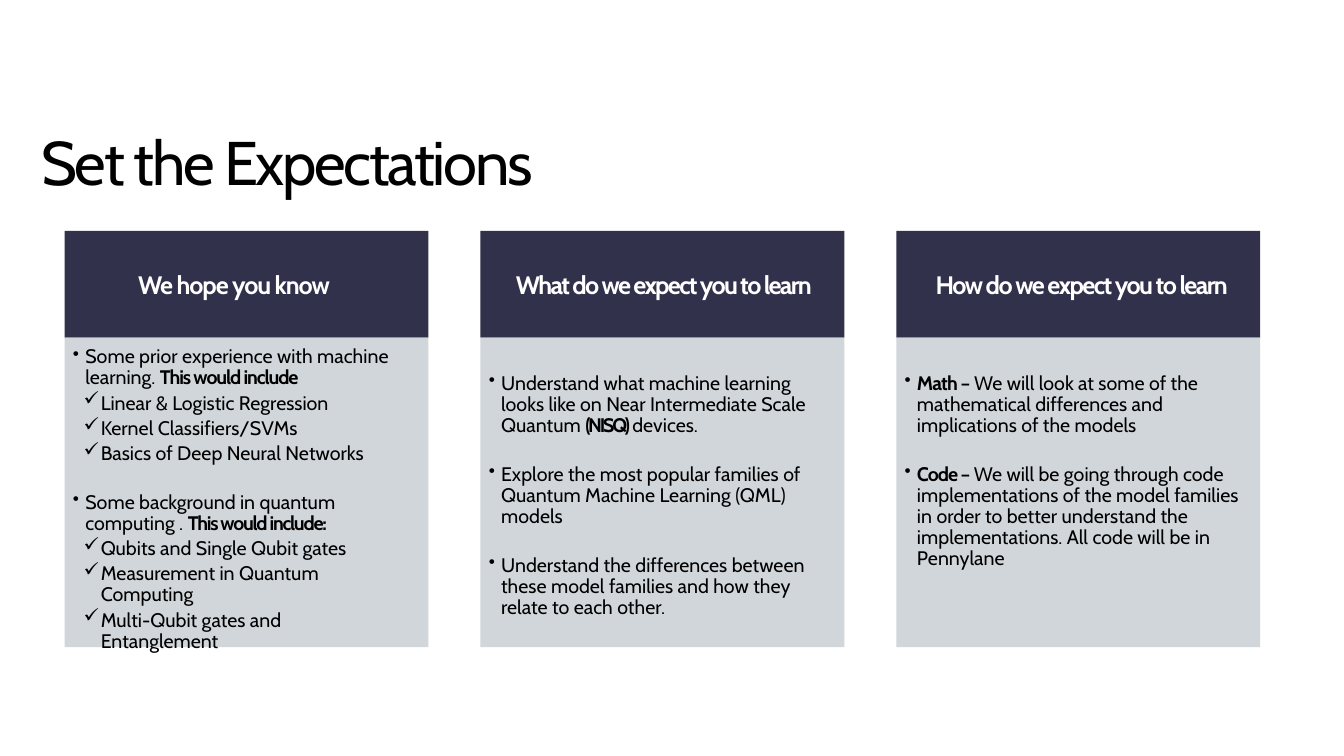
import pptx
import pptx.util
import pptx.dml.color
import pptx.enum.shapes
import pptx.enum.text
import pptx.oxml.ns
import lxml.etree
from dataclasses import dataclass

Cm, Pt = pptx.util.Cm, pptx.util.Pt
Align = pptx.enum.text.PP_ALIGN
Anchor = pptx.enum.text.MSO_ANCHOR


@dataclass(frozen=True)
class Theme:
    font: str = "Cabin"
    ink: str = "000000"
    light: str = "FFFFFF"
    head: str = "31314B"
    panel: str = "CCD2D7"
    title_size: int = 44
    head_size: int = 18
    body_size: int = 14


THEME = Theme()

# Column grid
LEFT, STEP, WIDTH = 1.63, 10.48, 9.17
HEAD_TOP, HEAD_TALL = 5.82, 2.69
BODY_TOP, BODY_TALL = 8.51, 7.8

# Bullet mark: (level, left margin, hanging indent, space before, size in percent)
MARKS = {"•": (0, 0.52, -0.31, 20, 93), "✓": (1, 0.91, -0.43, 3, 100)}

# Each column: heading, its margin, indent and tracking; body insets; items.
# An item is a mark and its runs; a run is its text and, if bold, its tracking.
COLUMNS = [
    (("We hope you know", 1.85, 0, -0.8), (0.23, 0.86), [
        ("•", [("Some prior experience with machine learning. ", None),
               ("This would include", -0.8)]),
        ("✓", [("Linear & Logistic Regression", None)]),
        ("✓", [("Kernel Classifiers/SVMs", None)]),
        ("✓", [("Basics of Deep Neural Networks", None)]),
        ("•", [("Some background in quantum computing . ", None),
               ("This would include:", -0.9)]),
        ("✓", [("Qubits and Single Qubit gates", None)]),
        ("✓", [("Measurement in Quantum Computing", None)]),
        ("✓", [("Multi-Qubit gates and Entanglement", None)]),
    ]),
    (("What do we expect you to learn", 3.91, -3.02, -1.2), (0.89, 0.61), [
        ("•", [("Understand what machine learning looks like on Near "
                "Intermediate Scale Quantum ", None),
               ("(NISQ) ", -1.6), ("devices.", None)]),
        ("•", [("Explore the most popular families of Quantum Machine "
                "Learning (QML) models", None)]),
        ("•", [("Understand the differences between these model families "
                "and how they relate to each other.", None)]),
    ]),
    (("How do we expect you to learn", 3.91, -2.92, -1.1), (0.89, 0.3), [
        ("•", [("Math – ", -0.6),
               ("We will look at some of the mathematical differences and "
                "implications of the models", None)]),
        ("•", [("Code – ", -0.7),
               ("We will be going through code implementations of the model "
                "families in order to better understand the "
                "implementations. All code will be in Pennylane", None)]),
    ]),
]


def paint(run, size, tint, track=0, bold=False):
    """Format one run."""
    run.font.name = THEME.font
    run.font.size = Pt(size)
    run.font.bold = bold
    run.font.color.rgb = pptx.dml.color.RGBColor.from_string(tint)
    run._r.get_or_add_rPr().set("spc", str(round(track * 100)))


def indent(para, margin, hang):
    props = para._p.get_or_add_pPr()
    props.set("marL", str(Cm(margin)))
    props.set("indent", str(Cm(hang)))
    return props


def set_frame(frame, top=0, right=0, anchor=Anchor.TOP):
    frame.word_wrap = True
    frame.auto_size = pptx.enum.text.MSO_AUTO_SIZE.NONE
    frame.vertical_anchor = anchor
    frame.margin_left = frame.margin_bottom = 0
    frame.margin_top, frame.margin_right = Cm(top), Cm(right)


def add_panel(slide, left, top, tall, tint):
    """Add a plain filled block of column width."""
    panel = slide.shapes.add_shape(
        pptx.enum.shapes.MSO_SHAPE.RECTANGLE,
        Cm(left), Cm(top), Cm(WIDTH), Cm(tall))
    panel.shadow.inherit = False
    panel.fill.solid()
    panel.fill.fore_color.rgb = pptx.dml.color.RGBColor.from_string(tint)
    panel.line.fill.background()
    return panel


def add_title(slide, text):
    title = slide.shapes.title
    title.left, title.top = Cm(1.04), Cm(3.05)
    title.width, title.height = Cm(16.03), Cm(1.96)
    set_frame(title.text_frame, top=0.08)
    title.text_frame.text = text
    para = title.text_frame.paragraphs[0]
    para.alignment = Align.LEFT
    paint(para.runs[0], THEME.title_size, THEME.ink, -1.7)


def add_head(slide, left, text, margin, hang, track):
    panel = add_panel(slide, left, HEAD_TOP, HEAD_TALL, THEME.head)
    set_frame(panel.text_frame, 0.08, 0.61, Anchor.MIDDLE)
    panel.text_frame.text = text
    para = panel.text_frame.paragraphs[0]
    para.alignment = Align.LEFT
    para.line_spacing = Pt(19.5)
    indent(para, margin, hang)
    paint(para.runs[0], THEME.head_size, THEME.light, track, True)


def add_item(para, mark, parts, first):
    level, margin, hang, space, size = MARKS[mark]
    para.level = level
    para.alignment = Align.LEFT
    # Bullet mark
    props = indent(para, margin, hang)
    qn = pptx.oxml.ns.qn
    lxml.etree.SubElement(props, qn("a:buSzPct"), val=str(size * 1000))
    lxml.etree.SubElement(props, qn("a:buChar"), char=mark)
    para.line_spacing = Pt(15)
    para.space_before = Pt(0 if first else space)
    for text, track in parts:
        run = para.add_run()
        run.text = text
        paint(run, THEME.body_size, THEME.ink, track or 0, track is not None)


def add_body(slide, left, top, right, items):
    panel = add_panel(slide, left, BODY_TOP, BODY_TALL, THEME.panel)
    # Slight transparency
    tint = panel.fill._xPr.find(".//" + pptx.oxml.ns.qn("a:srgbClr"))
    lxml.etree.SubElement(tint, pptx.oxml.ns.qn("a:alpha"), val="90000")
    frame = panel.text_frame
    set_frame(frame, top, right)
    for i, (mark, parts) in enumerate(items):
        para = frame.add_paragraph() if i else frame.paragraphs[0]
        add_item(para, mark, parts, i == 0)


def main():
    deck = pptx.Presentation()
    deck.slide_width, deck.slide_height = Cm(33.87), Cm(19.05)
    slide = deck.slides.add_slide(deck.slide_layouts[5])
    add_title(slide, "Set the Expectations")
    for i, (head, inset, items) in enumerate(COLUMNS):
        left = LEFT + i * STEP
        add_head(slide, left, *head)
        add_body(slide, left, *inset, items)
    deck.save("out.pptx")


if __name__ == "__main__":
    main()
